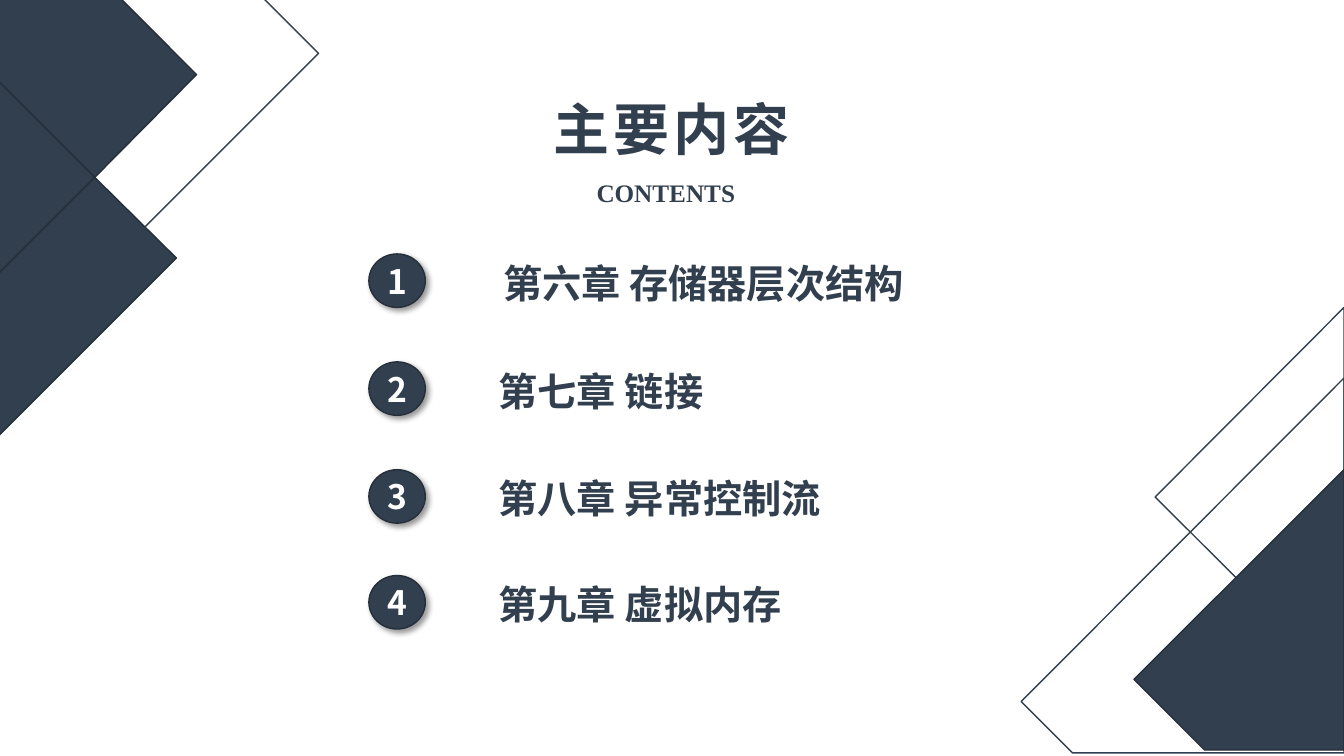
from lxml import etree
from pptx import Presentation
from pptx.dml.color import RGBColor
from pptx.enum import shapes, text
from pptx.oxml import ns
from pptx.util import Pt

COLORS = {"slate": "323F4F", "edge": "252F3A", "white": "FFFFFF", "shadow": "000000"}
LATIN_FONT = "Times New Roman"
CJK_FONT = "Noto Sans CJK SC"

OUTLINES = [
    [(960, 219.6), (960, 489.6), (825.1, 355)],
    [(960, 270), (960, 537.8), (766.1, 537.8), (729.4, 501.1)],
    [(-3.6, 269.3), (-3.6, -2.2), (187.2, -2.2), (227.5, 38.2)],
]
SOLIDS = [
    [(960, 335.5), (960, 535.7), (860.4, 535.7), (810, 485.3)],
    [(-2.2, -2.2), (85, -2.2), (140.4, 53.3), (67.7, 126.7), (-2.2, 56.9)],
    [(-2.2, 56.9), (67.7, 126.7), (-2.2, 196.6)],
    [(67.7, 126.7), (126, 184.3), (-2.2, 312.5), (-2.2, 196.6)],
]
# Chapter title, row top, box left, box width, text inset
CHAPTERS = [
    ("第六章 存储器层次结构", 181.4, 333.4, 330.5, 26),
    ("第七章 链接", 258.5, 317.5, 308.9, 38.6),
    ("第八章 异常控制流", 335.5, 317.5, 308.9, 38.6),
    ("第九章 虚拟内存", 411.1, 317.5, 308.9, 38.6),
]


def color(name):
    return RGBColor.from_string(COLORS[name])


def write_text(shape, content, size, font=LATIN_FONT, fill="slate",
               align=text.PP_ALIGN.LEFT, line_spacing=None, tracking=None):
    paragraph = shape.text_frame.paragraphs[0]
    paragraph.alignment = align
    if line_spacing:
        paragraph.line_spacing = line_spacing
    run = paragraph.add_run()
    run.text = content
    run.font.size = Pt(size)
    run.font.bold = True
    run.font.color.rgb = color(fill)
    run.font.name = font
    properties = run.font._element
    etree.SubElement(properties, ns.qn("a:ea")).set("typeface", CJK_FONT)
    if tracking:
        properties.set("spc", str(tracking * 100))


def style_shape(shape, fill, line):
    if fill:
        shape.fill.solid()
        shape.fill.fore_color.rgb = color(fill)
    else:
        shape.fill.background()
    shape.line.color.rgb = color(line)
    shape.line.width = Pt(1)
    shape.shadow.inherit = False


def add_polygon(slide, points, fill, line):
    corners = [(Pt(x), Pt(y)) for x, y in points]
    builder = slide.shapes.build_freeform(*corners[0])
    builder.add_line_segments(corners[1:], close=True)
    style_shape(builder.convert_to_shape(), fill, line)


def add_text_box(slide, box, content, size, inset=7.2, **text_format):
    shape = slide.shapes.add_textbox(*(Pt(value) for value in box))
    frame = shape.text_frame
    frame.word_wrap = True
    frame.auto_size = text.MSO_AUTO_SIZE.SHAPE_TO_FIT_TEXT
    frame.margin_left = Pt(inset)
    write_text(shape, content, size, **text_format)


def add_drop_shadow(shape):
    effects = shape._element.spPr.find(ns.qn("a:effectLst"))
    shadow = etree.SubElement(effects, ns.qn("a:outerShdw"), blurRad=str(Pt(4)),
                              dist=str(Pt(3)), dir=str(45 * 60000),
                              algn="tl", rotWithShape="0")
    tint = etree.SubElement(shadow, ns.qn("a:srgbClr"), val=COLORS["shadow"])
    etree.SubElement(tint, ns.qn("a:alpha"), val="40000")


def add_badge(slide, number, top):
    badge = slide.shapes.add_shape(shapes.MSO_SHAPE.OVAL, Pt(263.5), Pt(top),
                                   Pt(40.3), Pt(38.2))
    style_shape(badge, "slate", "edge")
    add_drop_shadow(badge)
    frame = badge.text_frame
    frame.margin_left = frame.margin_right = 0
    frame.vertical_anchor = text.MSO_ANCHOR.MIDDLE
    write_text(badge, str(number), 24, font=CJK_FONT, fill="white",
               align=text.PP_ALIGN.CENTER)


def main():
    presentation = Presentation()
    presentation.slide_width, presentation.slide_height = Pt(960), Pt(540)
    slide = presentation.slides.add_slide(presentation.slide_layouts[6])

    for points in OUTLINES:
        add_polygon(slide, points, None, "slate")
    for points in SOLIDS:
        add_polygon(slide, points, "slate", "edge")

    add_text_box(slide, (370.8, 51.8, 217.4, 67.7), "主要内容", 40,
                 align=text.PP_ALIGN.CENTER, line_spacing=1.25, tracking=3)
    add_text_box(slide, (419, 123.1, 121.7, 28.8), "CONTENTS", 18,
                 align=text.PP_ALIGN.JUSTIFY)

    for number, (title, top, left, width, inset) in enumerate(CHAPTERS, start=1):
        add_badge(slide, number, top)
        add_text_box(slide, (left, top, width, 41), title, 28, inset=inset)

    presentation.save("out.pptx")


if __name__ == "__main__":
    main()
